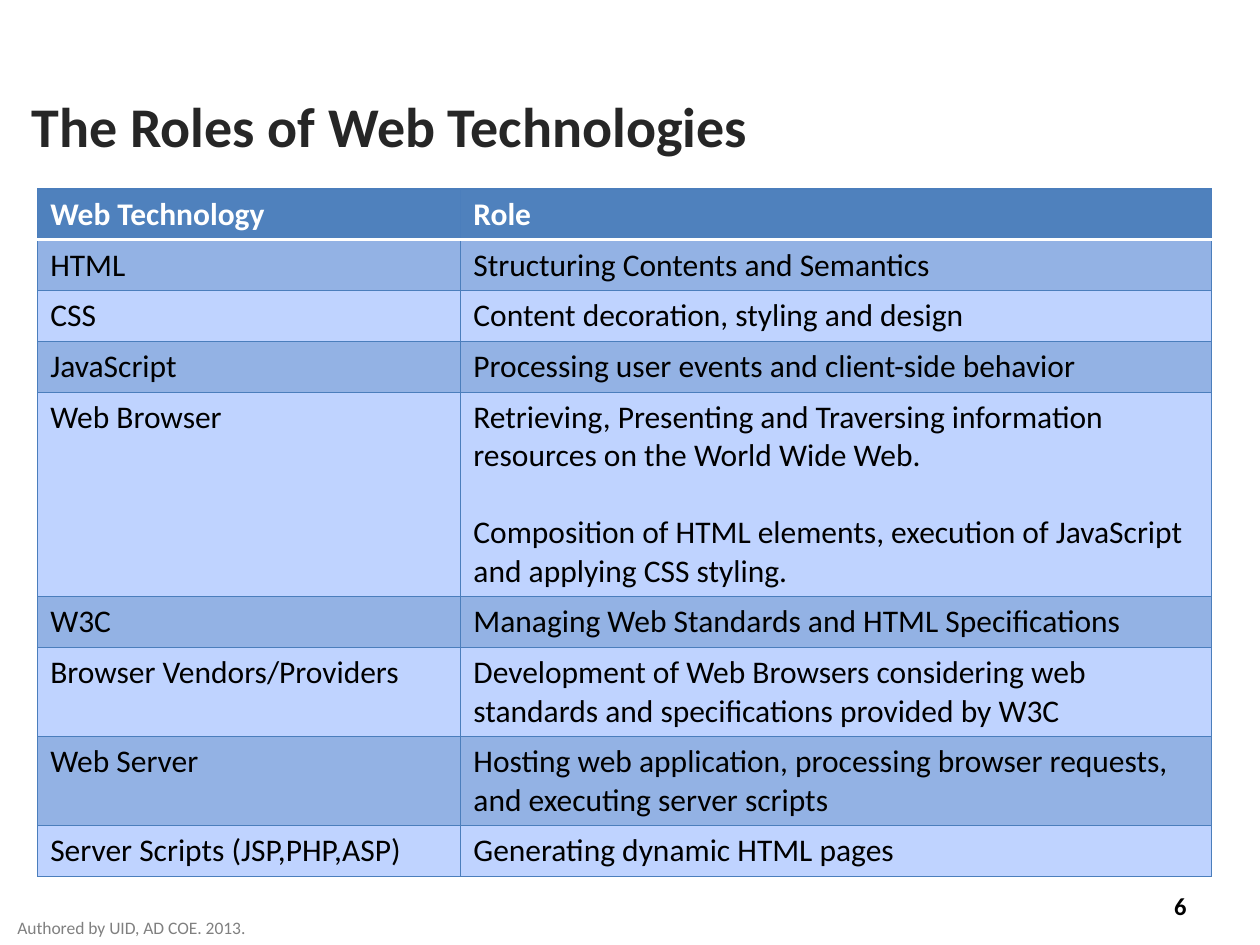
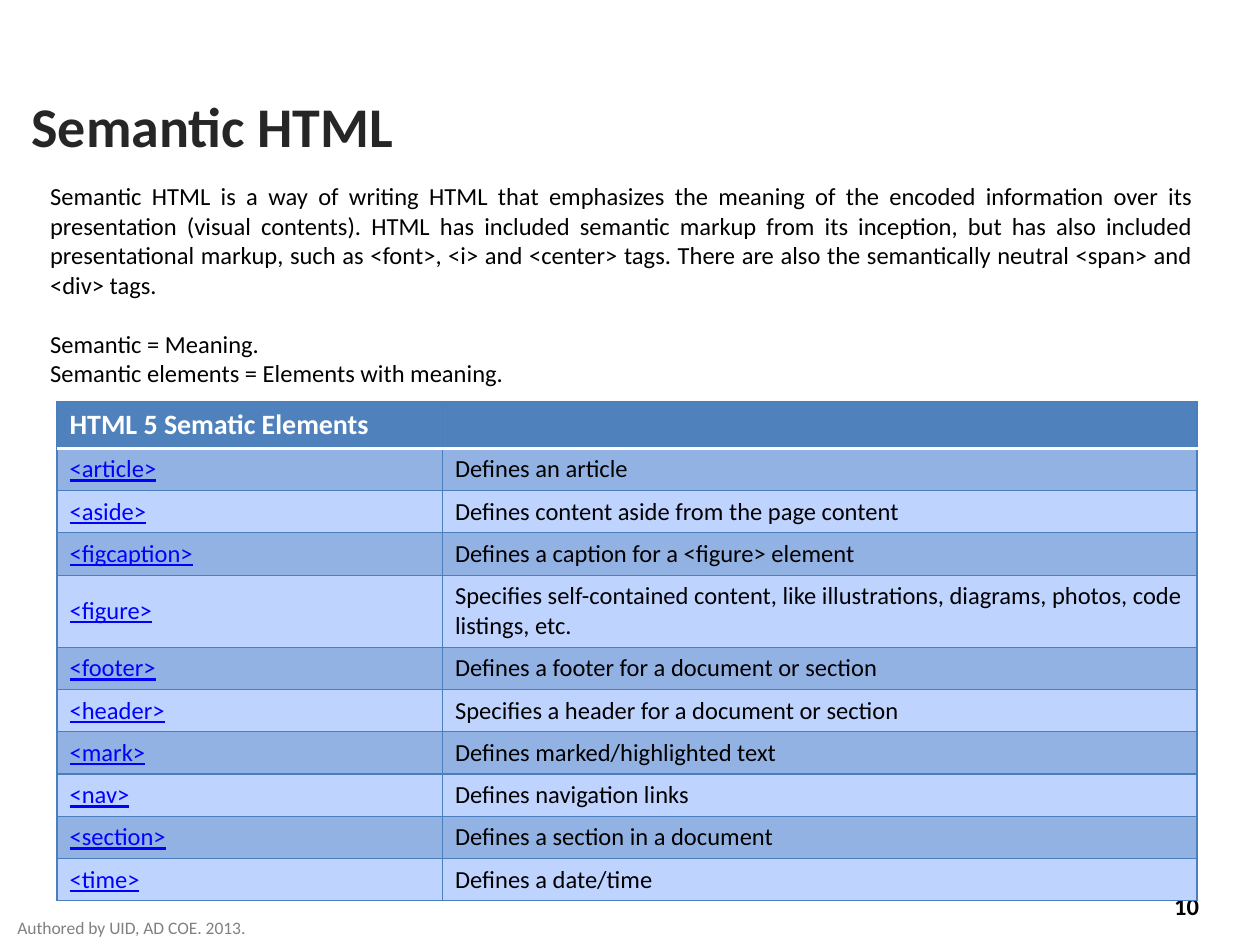
from lxml import etree
from pptx import Presentation
from pptx import util as u
from pptx.dml.color import RGBColor
from pptx.enum import text
from pptx.oxml.ns import qn

FONT = "Calibri"
BLACK, WHITE, GREY, TITLE = "000000", "FFFFFF", "808080", "262626"
HEADER, BORDER, LINK = "4F81BD", "4B7EBC", "0000FF"
BANDS = ["93B2E4", "BFD3FF"]
FOOTER = "Authored by UID, AD COE. 2013."

ROLES = [
    ("Web Technology", ["Role"], 1),
    ("HTML", ["Structuring Contents and Semantics"], 1),
    ("CSS", ["Content decoration, styling and design"], 1),
    ("JavaScript", ["Processing user events and client-side behavior"], 1),
    ("Web Browser", [
        "Retrieving, Presenting and Traversing information resources on the World Wide Web.",
        "Composition of HTML elements, execution of JavaScript and applying CSS styling."], 5),
    ("W3C", ["Managing Web Standards and HTML Specifications"], 1),
    ("Browser Vendors/Providers", [
        "Development of Web Browsers considering web standards and specifications provided by W3C"], 2),
    ("Web Server", [
        "Hosting web application, processing browser requests, and executing server scripts"], 2),
    ("Server Scripts (JSP,PHP,ASP)", ["Generating dynamic HTML pages"], 1),
]

ELEMENTS = [
    ("HTML 5 Sematic Elements", [], 1),
    ("<article>", ["Defines an article"], 1),
    ("<aside>", ["Defines content aside from the page content"], 1),
    ("<figcaption>", ["Defines a caption for a <figure> element"], 1),
    ("<figure>", [
        "Specifies self-contained content, like illustrations, diagrams, photos, code listings, etc."], 2),
    ("<footer>", ["Defines a footer for a document or section"], 1),
    ("<header>", ["Specifies a header for a document or section"], 1),
    ("<mark>", ["Defines marked/highlighted text"], 1),
    ("<nav>", ["Defines navigation links"], 1),
    ("<section>", ["Defines a section in a document"], 1),
    ("<time>", ["Defines a date/time"], 1),
]

INTRO = ("Semantic HTML is a way of writing HTML that emphasizes the meaning of the encoded "
         "information over its presentation (visual contents). HTML has included semantic markup "
         "from its inception, but has also included presentational markup, such as <font>, <i> and "
         "<center> tags. There are also the semantically neutral <span> and <div> tags.")
MEANINGS = ["Semantic = Meaning.", "Semantic elements = Elements with meaning."]


def color(value):
    return RGBColor.from_string(value)


def add_run(p, words, size, ink=BLACK, bold=False, underline=False):
    r = p.add_run()
    r.text = words
    f = r.font
    f.name, f.size, f.bold, f.underline = FONT, u.Pt(size), bold, underline
    f.color.rgb = color(ink)


def paragraphs(tf, count):
    return [tf.paragraphs[0]] + [tf.add_paragraph() for _ in range(count - 1)]


def add_box(slide, box, wrap=True):
    tf = slide.shapes.add_textbox(*map(u.Cm, box)).text_frame
    tf.word_wrap = wrap
    return tf


def add_frame(prs, title, number):
    slide = prs.slides.add_slide(prs.slide_layouts[5])
    sp = slide.shapes.title
    sp.left, sp.top, sp.width, sp.height = map(u.Cm, (0.38, 1.96, 23.75, 1.14))
    tf = sp.text_frame
    tf.auto_size = text.MSO_AUTO_SIZE.NONE
    tf.vertical_anchor = text.MSO_ANCHOR.MIDDLE
    p = tf.paragraphs[0]
    p.alignment = text.PP_ALIGN.LEFT
    add_run(p, title, 32, TITLE, bold=True)
    page = add_box(slide, (23.42, 17.83, 1.47, 0.86))
    add_run(page.paragraphs[0], number, 14, bold=True)
    footer = add_box(slide, (0.1, 18.36, 5.18, 0.69), wrap=False)
    add_run(footer.paragraphs[0], FOOTER, 10, GREY)
    return slide


def set_border(cell, side, ink, width):
    ln = etree.SubElement(cell._tc.get_or_add_tcPr(), qn(f"a:ln{side}"), w=str(u.Pt(width)))
    fill = etree.SubElement(ln, qn("a:solidFill"))
    etree.SubElement(fill, qn("a:srgbClr"), val=ink)


def fill_cell(cell, row, lines, size, ink, underline=False):
    for side in "LRTB":
        rule = (row, side) in [(0, "B"), (1, "T")]
        set_border(cell, side, *((WHITE, 2) if rule else (BORDER, 0.75)))
    cell.fill.solid()
    cell.fill.fore_color.rgb = color(BANDS[(row - 1) % 2] if row else HEADER)
    if not lines:
        etree.SubElement(cell.text_frame.paragraphs[0]._p, qn("a:endParaRPr"), sz=str(size * 100))
    for i, (p, line) in enumerate(zip(paragraphs(cell.text_frame, len(lines)), lines)):
        if i:
            p.space_before = u.Pt(size * 1.22)
        add_run(p, line, size, ink, bold=row == 0, underline=underline)


def add_grid(slide, left, top, widths, rows, head_size, size, linked=False):
    sizes = [head_size] + [size] * (len(rows) - 1)
    heights = [0.25 + 0.043 * s * lines for s, (_, _, lines) in zip(sizes, rows)]
    box = (left, top, sum(widths), sum(heights))
    table = slide.shapes.add_table(len(rows), 2, *map(u.Cm, box)).table
    for column, width in zip(table.columns, widths):
        column.width = u.Cm(width)
    for i, (name, details, _) in enumerate(rows):
        table.rows[i].height = u.Cm(heights[i])
        ink = BLACK if i else WHITE
        is_link = linked and i > 0
        fill_cell(table.cell(i, 0), i, [name], sizes[i], LINK if is_link else ink, is_link)
        fill_cell(table.cell(i, 1), i, details, sizes[i], ink)
        if is_link:
            for cell in table.rows[i].cells:
                cell.vertical_anchor = text.MSO_ANCHOR.MIDDLE


def add_intro(slide, box):
    first, *rest = paragraphs(add_box(slide, box), 1 + len(MEANINGS))
    first.alignment = text.PP_ALIGN.JUSTIFY
    add_run(first, INTRO, 14)
    rest[0].space_before = u.Pt(17)
    for p, line in zip(rest, MEANINGS):
        add_run(p, line, 14)


def roles_slide(prs):
    slide = add_frame(prs, "The Roles of Web Technologies", "6")
    add_grid(slide, 0.76, 3.81, (8.53, 15.14), ROLES, 18, 18)


def semantic_slide(prs):
    slide = add_frame(prs, "Semantic HTML", "10")
    add_intro(slide, (0.76, 3.53, 23.55, 5.05))
    add_grid(slide, 1.15, 8.1, (7.77, 15.21), ELEMENTS, 16, 14, linked=True)


def main():
    prs = Presentation()
    prs.slide_width, prs.slide_height = u.Cm(25.4), u.Cm(19.05)
    roles_slide(prs)
    semantic_slide(prs)
    prs.save("out.pptx")


if __name__ == "__main__":
    main()
